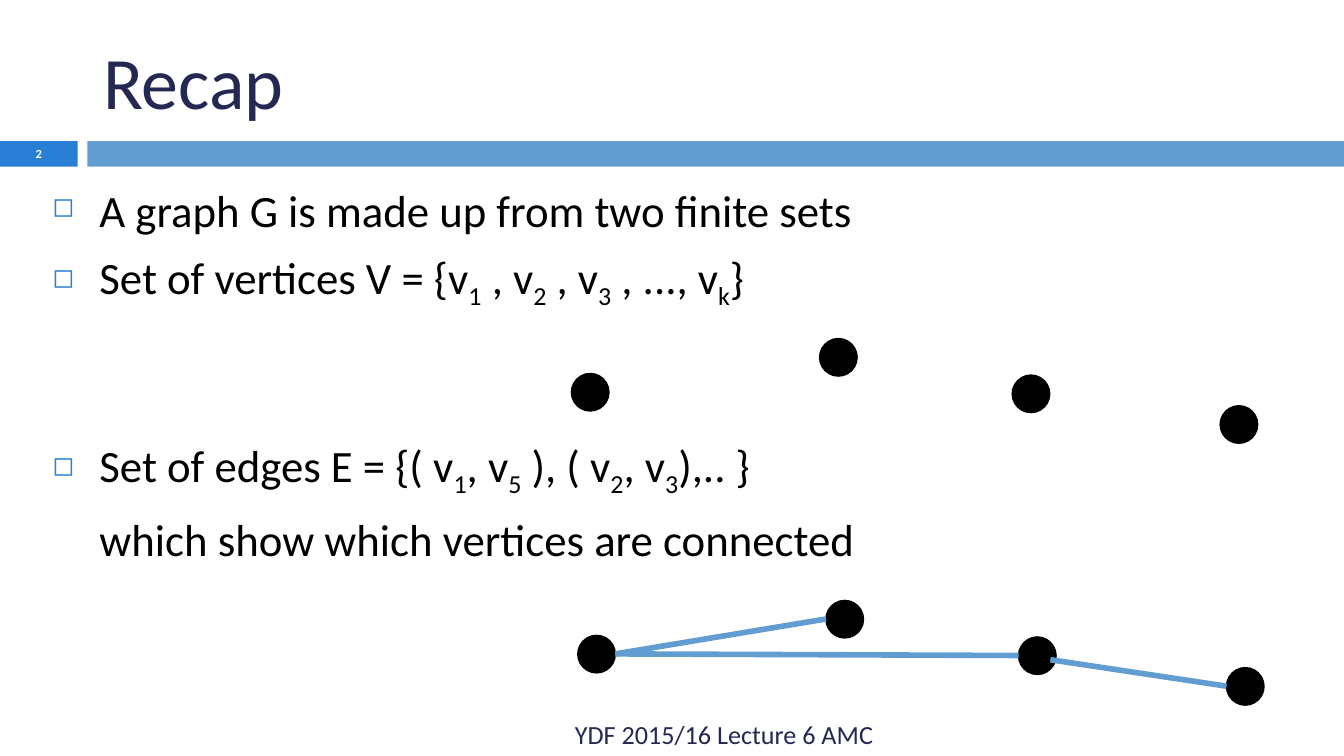
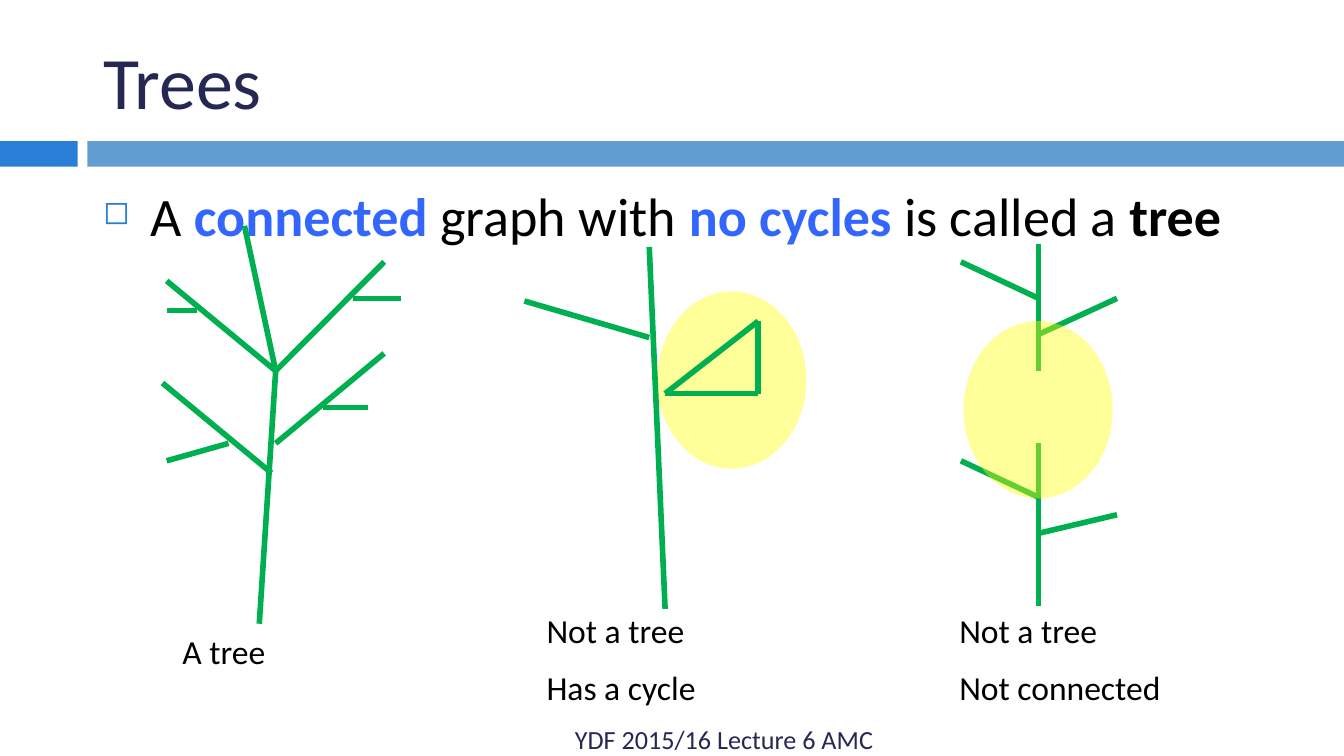
from dataclasses import dataclass

from lxml.etree import SubElement
from pptx import Presentation
from pptx.dml.color import RGBColor as Rgb
from pptx.enum.shapes import MSO_CONNECTOR as Connector, MSO_SHAPE as Shape
from pptx.enum.text import MSO_ANCHOR as Anchor, PP_ALIGN as Align
from pptx.oxml.ns import qn
from pptx.util import Cm, Pt


@dataclass(frozen=True)
class Theme:
    font: str = "Calibri"
    ink: str = "000000"
    navy: str = "242852"
    accent: str = "297FD5"
    band: str = "629DD1"
    emphasis: str = "3366FF"
    branch: str = "00B050"
    halo: str = "FFFF00"
    white: str = "FFFFFF"
    title: float = 39.6
    definition: float = 29
    body: float = 24
    caption: float = 18
    footer: float = 14
    number: float = 6.7
    gap: float = 7
    indent: float = 0.89


class Deck:
    def __init__(self, theme):
        self.theme = theme
        self.show = Presentation()
        self.show.slide_width, self.show.slide_height = Cm(25.4), Cm(14.29)
        self.slide = None

    def new_slide(self, title, footer_top):
        theme = self.theme
        self.slide = self.show.slides.add_slide(self.show.slide_layouts[6])
        self.shape(Shape.RECTANGLE, 0, 2.67, 1.47, 0.48, theme.accent)
        self.shape(Shape.RECTANGLE, 1.65, 2.67, 23.75, 0.48, theme.band)
        heading = self.box(1.7, 0.48, 22.66, 2.06, Anchor.MIDDLE)
        self.paragraph(heading, [title], theme.title, theme.navy)
        footer = self.box(1.7, footer_top, 15.06, 0.76, Anchor.MIDDLE)
        self.paragraph(footer, ["YDF 2015/16 Lecture 6 AMC"], theme.footer,
                       theme.navy, align=Align.RIGHT)

    def shape(self, kind, left, top, width, height, color, opacity=None):
        item = self.slide.shapes.add_shape(
            kind, Cm(left), Cm(top), Cm(width), Cm(height))
        item.shadow.inherit = False
        item.fill.solid()
        item.fill.fore_color.rgb = Rgb.from_string(color)
        item.line.fill.background()
        if opacity:
            tint = item.fill._xPr.find(qn("a:solidFill"))[0]
            SubElement(tint, qn("a:alpha")).set("val", str(opacity * 1000))
        return item

    def line(self, start, end, color):
        stroke = self.slide.shapes.add_connector(
            Connector.STRAIGHT, *map(Cm, start + end))
        stroke.line.color.rgb = Rgb.from_string(color)
        stroke.line.width = Pt(3)
        SubElement(stroke._element.spPr, qn("a:effectLst"))

    def box(self, left, top, width, height, anchor=Anchor.TOP):
        frame = self.slide.shapes.add_textbox(
            Cm(left), Cm(top), Cm(width), Cm(height)).text_frame
        frame.word_wrap = True
        frame.vertical_anchor = anchor
        return frame

    def paragraph(self, frame, runs, size, color, before=0, align=Align.LEFT,
                  bullet=False, indented=False, bold=False):
        first = not frame.paragraphs[0].runs
        para = frame.paragraphs[0] if first else frame.add_paragraph()
        para.alignment = align
        if before and not first:
            para.space_before = Pt(before)
        props = para._p.get_or_add_pPr()
        if bullet or indented:
            props.set("marL", str(Cm(self.theme.indent)))
            props.set("indent", str(-Cm(self.theme.indent) if bullet else 0))
        if bullet:
            tint = SubElement(props, qn("a:buClr"))
            SubElement(tint, qn("a:srgbClr")).set("val", self.theme.accent)
            SubElement(props, qn("a:buSzPct")).set("val", "60000")
            SubElement(props, qn("a:buChar")).set("char", "◻")
        para.font.name = self.theme.font
        para.font.size = Pt(size)
        para.font.color.rgb = Rgb.from_string(color)
        if bold:
            para.font.bold = True
        for text in runs:
            para.add_run().text = text
        return para

    def subscripted(self, frame, parts, before):
        para = self.paragraph(frame, parts, self.theme.body, self.theme.ink,
                              before, bullet=True)
        for subscript in para.runs[1::2]:
            subscript._r.get_or_add_rPr().set("baseline", "-25000")

    def vertex(self, left, top, size):
        dot = self.shape(Shape.OVAL, left, top, size, size, self.theme.ink)
        dot.line.color.rgb = Rgb.from_string(self.theme.ink)
        dot.line.width = Pt(0.75)

    def tree(self, branches):
        for start, end in branches:
            self.line(start, end, self.theme.branch)

    def halo(self, left, top):
        self.shape(Shape.OVAL, left, top, 2.82, 3.35, self.theme.halo, 40)

    def caption(self, left, top, width, height, lines):
        frame = self.box(left, top, width, height)
        for text in lines:
            self.paragraph(frame, [text], self.theme.caption, self.theme.ink,
                           before=self.theme.caption / 2)


def recap(deck):
    theme = deck.theme
    deck.new_slide("Recap", 13.49)
    number = deck.box(0, 2.64, 1.47, 0.51, Anchor.MIDDLE)
    deck.paragraph(number, ["2"], theme.number, theme.white,
                   align=Align.CENTER, bold=True)

    body = deck.box(0.74, 3.33, 23.9, 9.37)
    deck.paragraph(body, ["A graph G is made up from two finite sets"],
                   theme.body, theme.ink, bullet=True)
    deck.subscripted(body, ["Set of vertices V = {v", "1", " , v", "2", " , v",
                            "3", " , ..., v", "k", "}"], theme.gap)
    deck.subscripted(body, ["Set of edges E = {( v", "1", ", v", "5", " ), ( v",
                            "2", ", v", "3", "),.. }"], 68)
    deck.paragraph(body, ["which show which vertices are connected"],
                   theme.body, theme.ink, theme.gap, indented=True)

    size, radius = 0.71, 0.35
    vertices = [(10.8, 7.06), (19.13, 7.09), (23.06, 7.67), (15.49, 6.4)]
    connected = [(x + 0.12, y + 4.95) for x, y in vertices]
    for left, top in vertices + connected:
        deck.vertex(left, top, size)

    west, middle, east, north = [(x, y + radius) for x, y in connected]
    hub = (west[0] + size, west[1])
    for start, end in [(north, hub), (middle, hub),
                       (east, (middle[0] + 0.6, middle[1] + 0.08))]:
        deck.line(start, end, theme.band)


def trees(deck):
    theme = deck.theme
    deck.new_slide("Trees", 13.59)
    body = deck.box(1.7, 3.33, 22.66, 1.6)
    definition = deck.paragraph(
        body, ["A ", "connected ", "graph with ", "no cycles",
               " is called a ", "tree"],
        theme.definition, theme.ink, bullet=True)
    for term in definition.runs[1::2]:
        term.font.bold = True
    for term in definition.runs[1:4:2]:
        term.font.color.rgb = Rgb.from_string(theme.emphasis)

    deck.halo(12.42, 5.51)
    fork = (5.21, 7.01)
    deck.tree([
        ((3.15, 5.31), fork), ((7.26, 4.95), fork), ((4.62, 4.27), fork),
        (fork, (4.9, 11.79)),
        ((6.68, 5.64), (7.57, 5.64)), ((3.73, 5.87), (3.15, 5.87)),
        ((5.21, 8.38), (7.26, 6.68)), ((3.07, 7.24), (5.13, 8.94)),
        ((3.15, 8.71), (4.32, 8.38)), ((6.1, 7.7), (6.96, 7.7)),
    ])
    cycle = [(12.57, 7.44), (14.33, 6.07), (14.33, 7.44)]
    deck.tree([((12.27, 4.67), (12.57, 11.51)),
               ((12.27, 6.38), (9.91, 5.69)),
               *zip(cycle, cycle[1:] + cycle[:1])])
    trunk, left, right = 19.63, 18.16, 21.11
    deck.tree([
        ((trunk, 4.62), (trunk, 7.01)), ((trunk, 8.38), (trunk, 11.46)),
        ((trunk, 10.08), (right, 9.73)), ((trunk, 5.64), (left, 4.95)),
        ((trunk, 6.32), (right, 5.64)), ((left, 8.71), (trunk, 9.4)),
    ])
    deck.halo(18.21, 6.07)

    deck.caption(3.2, 11.81, 3.63, 1.78, ["A tree"])
    deck.caption(10.08, 11.4, 4.04, 2.16, ["Not a tree", "Has a cycle"])
    deck.caption(17.88, 11.4, 5.36, 2.16, ["Not a tree", "Not connected"])


def main():
    deck = Deck(Theme())
    recap(deck)
    trees(deck)
    deck.show.save("out.pptx")


if __name__ == "__main__":
    main()
